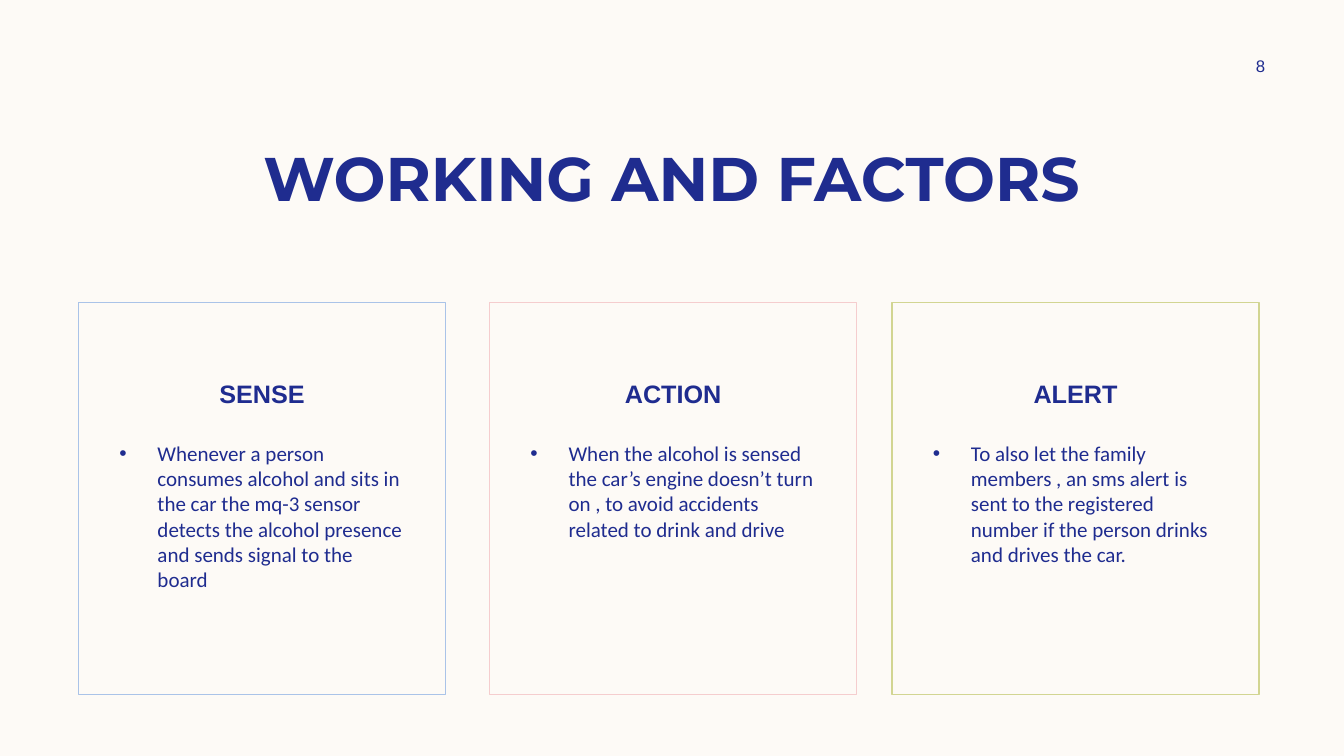
"""Builds the 'Working and factors' slide with three framed steps."""
from lxml.etree import SubElement
from pptx import Presentation
from pptx.dml.color import RGBColor
from pptx.enum.shapes import MSO_SHAPE
from pptx.enum.text import MSO_ANCHOR, MSO_AUTO_SIZE, PP_ALIGN
from pptx.oxml.ns import qn
from pptx.util import Cm, Pt

COLORS = {
    "paper": "FDFAF6",
    "navy": "1F2C8F",
    "blue": "AAC3E8",
    "pink": "F5CDCE",
    "green": "D2D592",
}
TITLE = "WORKING AND FACTORS"
PAGE = "8"
STEPS = [
    ("SENSE", "blue", 1.98,
     "Whenever a person consumes alcohol and sits in the car the mq-3 sensor "
     "detects the alcohol presence and sends signal to the board"),
    ("ACTION", "pink", 12.34,
     "When the alcohol is sensed the car’s engine doesn’t turn on , "
     "to avoid accidents related to drink and drive"),
    ("ALERT", "green", 22.48,
     "To also let the family members , an sms alert is sent to the registered "
     "number if the person drinks and drives the car."),
]
CARD_TOP, CARD_WIDTH, CARD_HEIGHT = 7.62, 9.25, 9.88
LIST_TOP, LIST_WIDTH, LIST_HEIGHT = 10.97, 7.7, 6.12
LIST_INSET = (CARD_WIDTH - LIST_WIDTH) / 2
HANGING = Cm(0.96)


def color(name):
    return RGBColor.from_string(COLORS[name])


def place(shape, left, top, width, height):
    shape.left, shape.top = Cm(left), Cm(top)
    shape.width, shape.height = Cm(width), Cm(height)


def write(shape, text, font="Arial", size=12, bold=False, align=PP_ALIGN.CENTER,
          anchor=MSO_ANCHOR.TOP, inset_top=0.13, bullet=False):
    frame = shape.text_frame
    frame.word_wrap = True
    frame.auto_size = MSO_AUTO_SIZE.NONE
    frame.vertical_anchor = anchor
    frame.margin_top = Cm(inset_top)
    frame.text = text
    paragraph = frame.paragraphs[0]
    paragraph.alignment = align
    paragraph.space_before = Pt(0)
    if bullet:
        properties = paragraph._p.get_or_add_pPr()
        properties.set("marL", str(HANGING))
        properties.set("indent", str(-HANGING))
        SubElement(properties, qn("a:buFont")).set("typeface", "Arial")
        SubElement(properties, qn("a:buChar")).set("char", "•")
    run_font = paragraph.runs[0].font
    run_font.name, run_font.size, run_font.bold = font, Pt(size), bold
    run_font.color.rgb = color("navy")


def main():
    deck = Presentation()
    deck.slide_width, deck.slide_height = Cm(33.87), Cm(19.05)
    slide = deck.slides.add_slide(deck.slide_layouts.get_by_name("Comparison"))
    slide.background.fill.solid()
    slide.background.fill.fore_color.rgb = color("paper")

    title, *bodies = slide.placeholders
    place(title, 2.11, 3.4, 29.64, 2.13)
    write(title, TITLE, font="Montserrat", size=44, bold=True,
          anchor=MSO_ANCHOR.MIDDLE)

    page = slide.shapes.add_textbox(Cm(30.4), Cm(1.27), Cm(2.74), Cm(0.76))
    write(page, PAGE, anchor=MSO_ANCHOR.MIDDLE)

    for (heading, outline, left, detail), body in zip(STEPS, bodies):
        card = slide.shapes.add_shape(MSO_SHAPE.RECTANGLE, Cm(left), Cm(CARD_TOP),
                                      Cm(CARD_WIDTH), Cm(CARD_HEIGHT))
        card.shadow.inherit = False
        card.fill.background()
        card.line.color.rgb = color(outline)
        card.line.width = Pt(1)
        write(card, heading, size=18, bold=True, inset_top=1.92)
        place(body, left + LIST_INSET, LIST_TOP, LIST_WIDTH, LIST_HEIGHT)
        write(body, detail, font="Calibri", size=15, align=PP_ALIGN.LEFT, bullet=True)

    for spare in bodies[len(STEPS):]:
        spare.element.getparent().remove(spare.element)
    deck.save("out.pptx")


if __name__ == "__main__":
    main()
